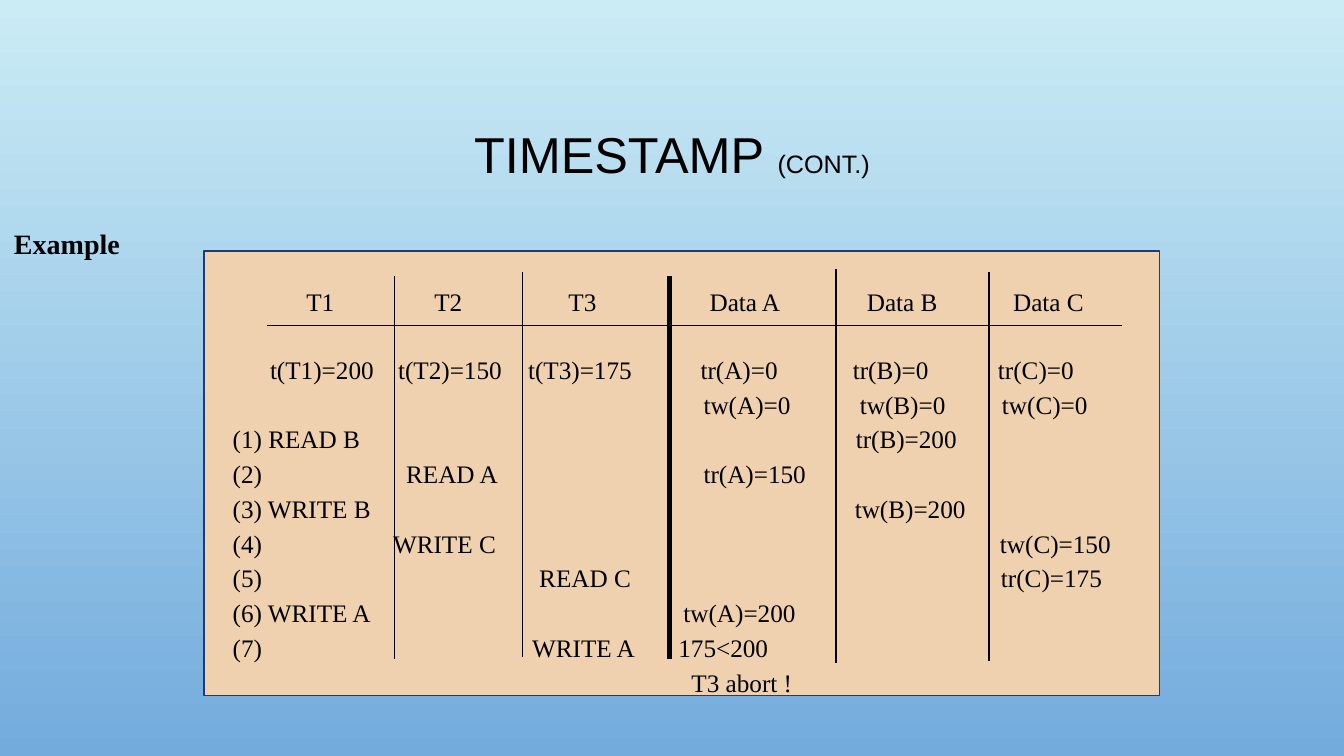
from dataclasses import dataclass

from lxml import etree
from pptx import Presentation
from pptx.dml.color import RGBColor
from pptx.enum import shapes, text
from pptx.oxml import ns
from pptx.util import Inches, Pt


@dataclass(frozen=True)
class Theme:
    ink: RGBColor = RGBColor(0x00, 0x00, 0x00)
    panel: RGBColor = RGBColor(0xEF, 0xD1, 0xAF)
    panel_edge: RGBColor = RGBColor(0x1D, 0x3A, 0x79)
    sky_top: RGBColor = RGBColor(0xCB, 0xEC, 0xF5)
    sky_bottom: RGBColor = RGBColor(0x73, 0xAB, 0xDD)
    title_font: str = "Arial"
    body_font: str = "Times New Roman"
    title_size: int = 36
    label_size: int = 20
    body_size: int = 18


@dataclass(frozen=True)
class Entry:
    """A piece of a schedule row, starting at a distance from the slide's left."""
    left: float
    text: str


@dataclass(frozen=True)
class Rule:
    start: tuple[float, float]
    end: tuple[float, float]
    weight: float = 1


THEME = Theme()
TEXT_LEFT = 2.31
INSET = 0.1

HEADINGS = [[Entry(3.04, "T1"), Entry(4.31, "T2"), Entry(5.64, "T3"),
             Entry(7.04, "Data A"), Entry(8.6, "Data B"), Entry(10.05, "Data C")]]

SCHEDULE = [
    [Entry(2.68, "t(T1)=200"), Entry(3.95, "t(T2)=150"), Entry(5.24, "t(T3)=175"),
     Entry(6.95, "tr(A)=0"), Entry(8.46, "tr(B)=0"), Entry(9.9, "tr(C)=0")],
    [Entry(6.98, "tw(A)=0"), Entry(8.53, "tw(B)=0"), Entry(9.94, "tw(C)=0")],
    [Entry(TEXT_LEFT, "(1) READ B"), Entry(8.49, "tr(B)=200")],
    [Entry(TEXT_LEFT, "(2)"), Entry(4.03, "READ A"), Entry(6.98, "tr(A)=150")],
    [Entry(TEXT_LEFT, "(3) WRITE B"), Entry(8.48, "tw(B)=200")],
    [Entry(TEXT_LEFT, "(4)"), Entry(3.9, "WRITE C"), Entry(9.92, "tw(C)=150")],
    [Entry(TEXT_LEFT, "(5)"), Entry(5.35, "READ C"), Entry(9.93, "tr(C)=175")],
    [Entry(TEXT_LEFT, "(6) WRITE A"), Entry(6.78, "tw(A)=200")],
    [Entry(TEXT_LEFT, "(7)"), Entry(5.28, "WRITE A"), Entry(6.73, "175<200")],
    [Entry(6.86, "T3 abort !")],
]

RULES = [
    Rule((3.91, 2.74), (3.91, 6.54)),
    Rule((5.18, 2.7), (5.18, 6.52)),
    Rule((6.64, 2.74), (6.64, 6.54), weight=3),
    Rule((8.29, 2.67), (8.29, 6.58)),
    Rule((9.81, 2.7), (9.81, 6.56)),
    Rule((2.65, 3.23), (11.13, 3.23)),
]


def format_font(font, name: str, size: int, bold: bool = False) -> None:
    font.name, font.size, font.bold = name, Pt(size), bold
    font.color.rgb = THEME.ink


def paint_background(slide) -> None:
    fill = slide.background.fill
    fill.gradient()
    fill.gradient_angle = 270
    for stop, color, position in zip(fill.gradient_stops,
                                     (THEME.sky_top, THEME.sky_bottom), (0, 1)):
        stop.color.rgb = color
        stop.position = position


def set_title(slide) -> None:
    title = slide.shapes.title
    title.left, title.top = Inches(1), Inches(0.68)
    title.width, title.height = Inches(11.33), Inches(1.75)
    title.text_frame.vertical_anchor = text.MSO_ANCHOR.MIDDLE
    paragraph = title.text_frame.paragraphs[0]
    paragraph.alignment = text.PP_ALIGN.CENTER
    paragraph.line_spacing = 0.9
    for words, size in (("TIMESTAMP ", THEME.title_size), ("(CONT.)", THEME.body_size)):
        run = paragraph.add_run()
        run.text = words
        format_font(run.font, THEME.title_font, size)


def add_panel(slide) -> None:
    panel = slide.shapes.add_shape(shapes.MSO_SHAPE.RECTANGLE, Inches(2.02),
                                   Inches(2.49), Inches(9.48), Inches(4.41))
    panel.shadow.inherit = False
    panel.fill.solid()
    panel.fill.fore_color.rgb = THEME.panel
    panel.line.color.rgb = THEME.panel_edge
    panel.line.width = Pt(1.25)


def add_rule(slide, rule: Rule) -> None:
    line = slide.shapes.add_connector(shapes.MSO_CONNECTOR.STRAIGHT,
                                      *map(Inches, rule.start + rule.end))
    line.line.color.rgb = THEME.ink
    line.line.width = Pt(rule.weight)
    etree.SubElement(line._element.spPr, ns.qn("a:effectLst"))


def add_rows(slide, top: float, height: float, rows: list[list[Entry]]) -> None:
    """One paragraph per row; tab stops put each entry in its column."""
    box = slide.shapes.add_textbox(Inches(TEXT_LEFT - INSET), Inches(top),
                                   Inches(9.2), Inches(height))
    frame = box.text_frame
    frame.word_wrap = True
    for index, row in enumerate(rows):
        paragraph = frame.add_paragraph() if index else frame.paragraphs[0]
        tab_list = etree.SubElement(paragraph._p.get_or_add_pPr(), ns.qn("a:tabLst"))
        run = paragraph.add_run()
        for entry in row:
            if entry.left > TEXT_LEFT:
                etree.SubElement(tab_list, ns.qn("a:tab"), algn="l",
                                 pos=str(Inches(entry.left - TEXT_LEFT)))
                run.text += "\t"
            run.text += entry.text
        paragraph.line_spacing = 1.15
        format_font(paragraph.font, THEME.body_font, THEME.body_size)


def add_label(slide) -> None:
    box = slide.shapes.add_textbox(Inches(0.04), Inches(2.2), Inches(1.26), Inches(0.44))
    paragraph = box.text_frame.paragraphs[0]
    paragraph.text = "Example"
    format_font(paragraph.font, THEME.body_font, THEME.label_size, bold=True)


def main() -> None:
    presentation = Presentation()
    presentation.slide_width, presentation.slide_height = Inches(13.33), Inches(7.5)
    slide = presentation.slides.add_slide(presentation.slide_layouts[5])

    paint_background(slide)
    set_title(slide)

    # Schedule: panel, headings, grid lines and steps
    add_panel(slide)
    add_rows(slide, 2.75, 0.43, HEADINGS)
    for rule in RULES:
        add_rule(slide, rule)
    add_rows(slide, 3.42, 3.4, SCHEDULE)

    add_label(slide)
    presentation.save("out.pptx")


if __name__ == "__main__":
    main()
